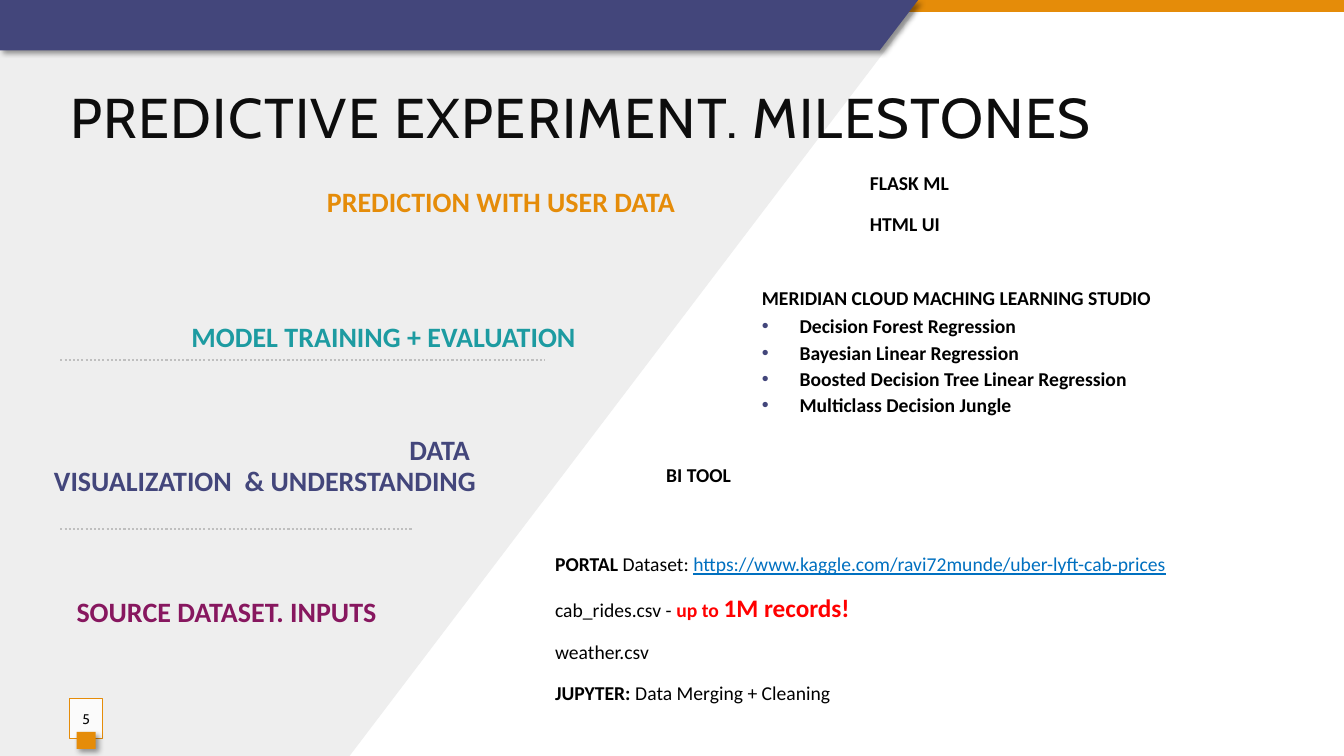
from lxml.etree import SubElement
from pptx import Presentation
from pptx.dml.color import RGBColor
from pptx.enum.dml import MSO_LINE
from pptx.enum.shapes import MSO_CONNECTOR, MSO_SHAPE
from pptx.enum.text import MSO_ANCHOR, PP_ALIGN
from pptx.oxml.ns import qn
from pptx.util import Cm, Pt

PAGE_W, PAGE_H = 33.87, 19.05
ORANGE, INDIGO, TEAL, PLUM = "E58C09", "43467B", "1D9BA1", "87175F"
BLACK, INK, GREY, RED, LINK = "000000", "0D0D0D", "BFBFBF", "FF0000", "0070C0"


def color(value):
    return RGBColor.from_string(value)


def style(sp, fill):
    sp.shadow.inherit = False
    sp.fill.solid()
    sp.fill.fore_color.rgb = color(fill)
    sp.line.fill.background()
    return sp


def polygon(s, points, fill):
    points = [(Cm(x), Cm(y)) for x, y in points]
    builder = s.shapes.build_freeform(*points[0], scale=1.0)
    builder.add_line_segments(points[1:], close=True)
    return style(builder.convert_to_shape(), fill)


def rectangle(s, x, y, w, h, fill):
    sp = s.shapes.add_shape(MSO_SHAPE.RECTANGLE, Cm(x), Cm(y), Cm(w), Cm(h))
    return style(sp, fill)


def drop_shadow(sp):
    effects = sp._element.spPr.find(qn("a:effectLst"))
    shadow = SubElement(effects, qn("a:outerShdw"), blurRad=str(Pt(4)), dist=str(Pt(3)),
                        dir="2700000", algn="tl", rotWithShape="0")
    black = SubElement(shadow, qn("a:srgbClr"), val=BLACK)
    SubElement(black, qn("a:alpha"), val="40000")


def text_box(s, x, y, w, h, anchor=MSO_ANCHOR.MIDDLE):
    tf = s.shapes.add_textbox(Cm(x), Cm(y), Cm(w), Cm(h)).text_frame
    tf.word_wrap = True
    tf.vertical_anchor = anchor
    return tf


def add_run(p, text, size=14, fill=BLACK, bold=False, underline=False, font="Calibri"):
    r = p.add_run()
    r.text = text
    r.font.name = font
    r.font.size = Pt(size)
    r.font.bold = bold
    r.font.underline = underline
    r.font.color.rgb = color(fill)
    return r


def add_bullet(p):
    pPr = p._p.get_or_add_pPr()
    pPr.set("marL", str(Cm(0.95)))
    pPr.set("indent", str(-Cm(0.95)))
    SubElement(SubElement(pPr, qn("a:buClr")), qn("a:srgbClr"), val=INDIGO)
    SubElement(pPr, qn("a:buFont"), typeface="Arial")
    SubElement(pPr, qn("a:buChar"), char="•")


def backdrop(s, w, h):
    """Grey slanted panel with the orange and indigo bands along the top."""
    edge = 23.14
    polygon(s, [(0, 0), (edge, 0), (edge, 0.18), (8.81, h), (0, h)], "EEEEEE")
    rectangle(s, 0, 0, w, 0.3, ORANGE)
    drop_shadow(polygon(s, [(0, 0), (edge, 0), (22.17, 1.27), (0, 1.27)], INDIGO))


def title(s, x, y, w, h, text):
    tf = text_box(s, x, y, w, h, MSO_ANCHOR.TOP)
    r = add_run(tf.paragraphs[0], text, 40, INK, font="Cabin")
    r._r.get_or_add_rPr().set("spc", "100")


def step(s, x, y, w, h, lines, fill):
    """Right-aligned milestone name."""
    p = text_box(s, x, y, w, h).paragraphs[0]
    p.alignment = PP_ALIGN.RIGHT
    p.line_spacing = 0.9
    p.space_after = Pt(2)
    for i, line in enumerate(lines):
        if i:
            p.add_line_break()
        add_run(p, line, 20, fill, bold=True)


def details(s, x, y, w, h, paragraphs, bullets=()):
    """Paragraphs given as lists of (text, run options), then bold bullets."""
    tf = text_box(s, x, y, w, h)
    for i, runs in enumerate(paragraphs):
        p = tf.add_paragraph() if i else tf.paragraphs[0]
        p.line_spacing = 0.9
        p.space_before = Pt(12 if i else 0)
        p.space_after = Pt(2)
        for text, options in runs:
            add_run(p, text, **options)
    for text in bullets:
        p = tf.add_paragraph()
        add_bullet(p)
        p.space_before = p.space_after = Pt(1)
        add_run(p, text, bold=True)


def divider(s, x, y, w):
    line = s.shapes.add_connector(MSO_CONNECTOR.STRAIGHT, Cm(x), Cm(y), Cm(x + w), Cm(y))
    line.line.color.rgb = color(GREY)
    line.line.width = Pt(1.5)
    line.line.dash_style = MSO_LINE.ROUND_DOT
    SubElement(line._element.spPr, qn("a:effectLst"))


def page_number(s, x, y, w, h, number):
    sp = rectangle(s, x, y, w, h, "FFFFFF")
    white = sp._element.spPr.find(qn("a:solidFill"))[0]
    SubElement(white, qn("a:alpha"), val="82000")
    sp.line.color.rgb = color(ORANGE)
    sp.line.width = Pt(0.75)
    tf = sp.text_frame
    tf.margin_left = tf.margin_right = 0
    tf.vertical_anchor = MSO_ANCHOR.MIDDLE
    p = tf.paragraphs[0]
    p.alignment = PP_ALIGN.CENTER
    add_run(p, number, 10, INK, font="Cabin")
    drop_shadow(rectangle(s, x + 0.18, y + 0.84, 0.48, 0.43, ORANGE))


def milestones(s, x, y):
    """Four milestones stepping down and left; x is the first name's right edge."""
    bold = {"bold": True}
    rows = [
        (0, 13.72, ["PREDICTION WITH USER DATA"], ORANGE,
         (21.67, -0.66, 11.99), [[("FLASK ML", bold)], [("HTML UI", bold)]], []),
        (3.4, 11.18, ["MODEL TRAINING + EVALUATION"], TEAL,
         (18.95, 3.07, 14.9), [[("MERIDIAN CLOUD MACHING LEARNING STUDIO", bold)]],
         ["Decision Forest Regression", "Bayesian Linear Regression",
          "Boosted Decision Tree Linear Regression", "Multiclass Decision Jungle"]),
        (6.63, 12.24, ["DATA ", "VISUALIZATION  & UNDERSTANDING"], INDIGO,
         (16.54, 6.19, 11.99), [[("BI TOOL", bold)]], []),
        (10.33, 9.32, ["SOURCE DATASET. INPUTS"], PLUM,
         (13.74, 10.05, 18.08), [
             [("PORTAL ", bold), ("Dataset: ", {}),
              ("https://www.kaggle.com/ravi72munde/uber-lyft-cab-prices",
               {"fill": LINK, "underline": True})],
             [("cab_rides.csv - ", {}), ("up to ", {"fill": RED, "bold": True}),
              ("1M records!", {"size": 18, "fill": RED, "bold": True})],
             [("weather.csv", {})],
             [("JUPYTER: ", bold), ("Data Merging + Cleaning", {})]], []),
    ]
    for i, (dy, w, name, fill, (left, top, width), paragraphs, bullets) in enumerate(rows):
        step(s, x - 2.51 * i - w, y + dy, w, 1.17, name, fill)
        details(s, left, y + top, width, 2.54, paragraphs, bullets)
    divider(s, 1.52, y + 4.52, 12.2)
    divider(s, 1.52, y + 8.79, 8.89)


def main():
    prs = Presentation()
    prs.slide_width, prs.slide_height = Cm(PAGE_W), Cm(PAGE_H)
    s = prs.slides.add_slide(prs.slide_layouts[6])
    backdrop(s, PAGE_W, PAGE_H)
    title(s, 1.52, 1.96, 30.02, 1.96, "PREDICTIVE EXPERIMENT. MILESTONES")
    milestones(s, 17.27, 4.55)
    page_number(s, 1.75, 17.6, 0.84, 1.02, "5")
    prs.save("out.pptx")


if __name__ == "__main__":
    main()
